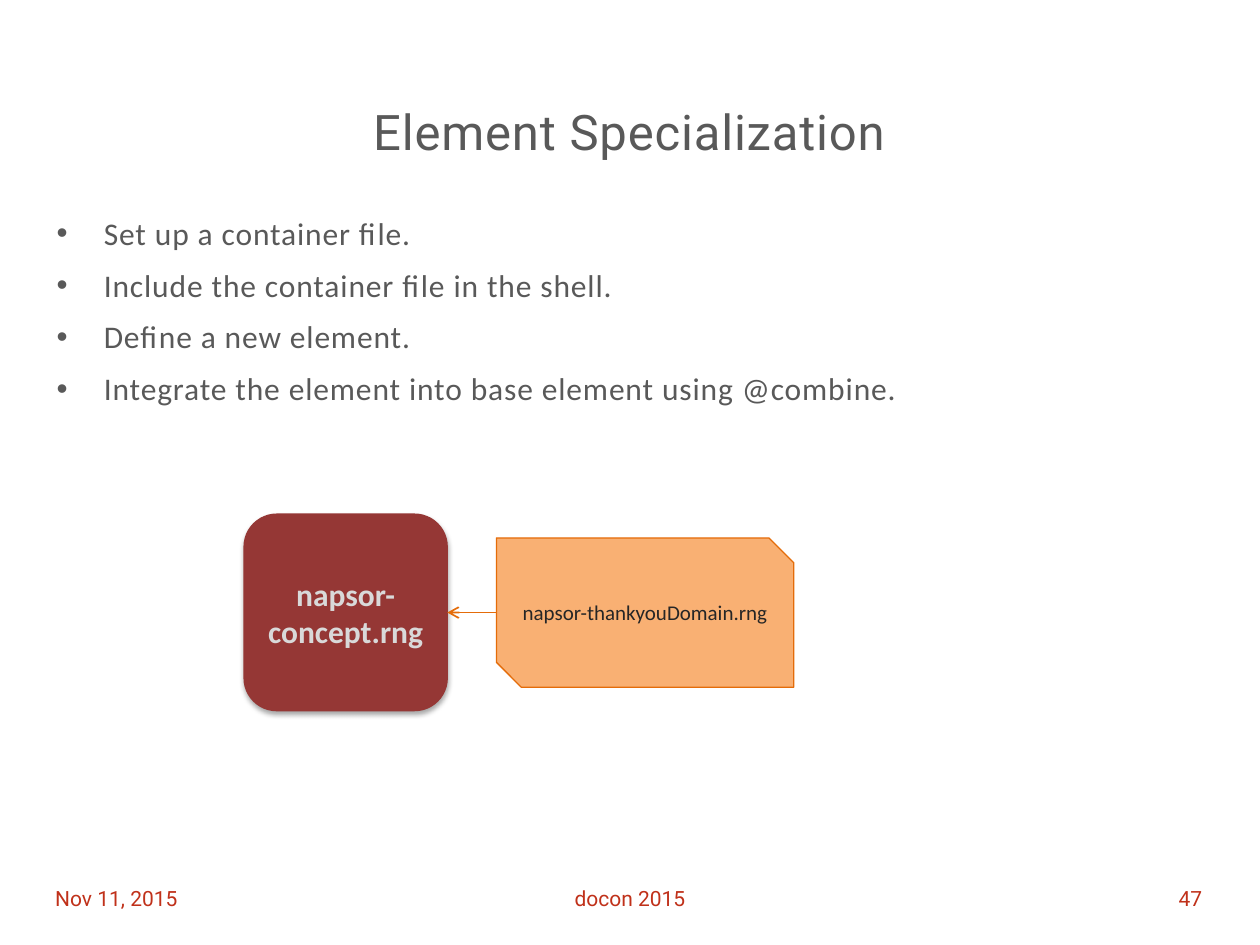
from dataclasses import dataclass

from lxml.etree import SubElement
from pptx import Presentation
from pptx.dml.color import RGBColor
from pptx.enum.shapes import MSO_CONNECTOR, MSO_SHAPE
from pptx.enum.text import MSO_ANCHOR, PP_ALIGN
from pptx.oxml.ns import qn
from pptx.util import Pt


@dataclass(frozen=True)
class Theme:
    heading_font: str = "Roboto"
    body_font: str = "Calibri"
    grey: str = "595959"
    footer_red: str = "C0311A"
    dark_red: str = "953735"
    light_grey: str = "D9D9D9"
    peach: str = "F9B073"
    orange: str = "E46C0A"
    near_black: str = "262626"
    title_size: int = 28
    body_size: int = 18
    small_size: int = 12


class SlideBuilder:
    def __init__(self, slide, theme):
        self.slide = slide
        self.theme = theme

    def add_span(self, para, text, size, color, font, bold=False, spacing=0):
        """Add one run; spacing is the gap between letters in points."""
        span = para.add_run()
        span.text = text
        span.font.size = Pt(size)
        span.font.name = font
        span.font.bold = bold
        span.font.color.rgb = RGBColor.from_string(color)
        if spacing:
            span.font._element.set("spc", str(round(spacing * 100)))

    def text_box(self, bounds, anchor=MSO_ANCHOR.TOP):
        box = self.slide.shapes.add_textbox(*map(Pt, bounds))
        frame = box.text_frame
        frame.word_wrap = True
        frame.vertical_anchor = anchor
        return frame

    def title(self, text, bounds):
        para = self.text_box(bounds).paragraphs[0]
        para.alignment = PP_ALIGN.CENTER
        self.add_span(para, text, self.theme.title_size, self.theme.grey,
                      self.theme.heading_font, spacing=0.5)

    def footer(self, text, left, width, align):
        frame = self.text_box((left, 499, width, 28.8), MSO_ANCHOR.MIDDLE)
        para = frame.paragraphs[0]
        para.alignment = align
        self.add_span(para, text, self.theme.small_size, self.theme.footer_red,
                      self.theme.heading_font)

    def bullets(self, lines, bounds, indent=27):
        frame = self.text_box(bounds)
        for index, line in enumerate(lines):
            para = frame.add_paragraph() if index else frame.paragraphs[0]
            para.line_spacing = Pt(23.6)
            para.space_before = Pt(6)
            props = para._p.get_or_add_pPr()
            props.set("marL", str(Pt(indent)))
            props.set("indent", str(-Pt(indent)))
            SubElement(props, qn("a:buFont"), typeface="Arial")
            SubElement(props, qn("a:buChar"), char="•")
            self.add_span(para, line, self.theme.body_size, self.theme.grey,
                          self.theme.body_font, spacing=0.5)

    def file_shape(self, kind, text, bounds, fill, line, size, color, bold=False):
        shape = self.slide.shapes.add_shape(kind, *map(Pt, bounds))
        shape.shadow.inherit = False
        shape.fill.solid()
        shape.fill.fore_color.rgb = RGBColor.from_string(fill)
        shape.line.color.rgb = RGBColor.from_string(line)
        shape.line.width = Pt(0.75)
        frame = shape.text_frame
        frame.word_wrap = True
        frame.vertical_anchor = MSO_ANCHOR.MIDDLE
        para = frame.paragraphs[0]
        para.alignment = PP_ALIGN.CENTER
        self.add_span(para, text, size, color, self.theme.body_font, bold)
        return shape

    def drop_shadow(self, shape):
        effects = shape._element.spPr.find(qn("a:effectLst"))
        shadow = SubElement(effects, qn("a:outerShdw"), blurRad=str(Pt(3.1)),
                            dist=str(Pt(1.8)), dir="5400000", rotWithShape="0")
        color = SubElement(shadow, qn("a:srgbClr"), val="000000")
        SubElement(color, qn("a:alpha"), val="35000")

    def arrow(self, source, target):
        """Point from the left edge of source to the right edge of target."""
        middle = source.top + source.height // 2
        connector = self.slide.shapes.add_connector(
            MSO_CONNECTOR.STRAIGHT, source.left, middle,
            target.left + target.width, middle)
        connector.line.color.rgb = RGBColor.from_string(self.theme.orange)
        connector.line.width = Pt(1)
        SubElement(connector.line._get_or_add_ln(), qn("a:tailEnd"), type="arrow")
        SubElement(connector._element.spPr, qn("a:effectLst"))


def main():
    deck = Presentation()
    deck.slide_width, deck.slide_height = Pt(720), Pt(540)
    theme = Theme()
    page = SlideBuilder(deck.slides.add_slide(deck.slide_layouts[6]), theme)

    page.footer("docon 2015", 254.2, 211.7, PP_ALIGN.CENTER)
    page.footer("Nov 11, 2015", 24.5, 167.8, PP_ALIGN.LEFT)
    page.footer("47", 526.3, 167.8, PP_ALIGN.RIGHT)

    page.title("Element Specialization", (25.2, 54.7, 668.9, 33.8))
    page.bullets([
        "Set up a container file.",
        "Include the container file in the shell.",
        "Define a new element.",
        "Integrate the element into base element using @combine.",
    ], (25.2, 116.6, 668.9, 368.6))

    concept = page.file_shape(
        MSO_SHAPE.ROUNDED_RECTANGLE, "napsor-concept.rng",
        (139.5, 293.8, 116.1, 112.3), theme.dark_red, theme.dark_red,
        theme.body_size, theme.light_grey, bold=True)
    page.drop_shadow(concept)
    domain = page.file_shape(
        MSO_SHAPE.SNIP_2_DIAG_RECTANGLE, "napsor-thankyouDomain.rng",
        (283.7, 307.4, 169.9, 85.3), theme.peach, theme.orange,
        theme.small_size, theme.near_black)
    page.arrow(domain, concept)

    deck.save("out.pptx")


if __name__ == "__main__":
    main()
